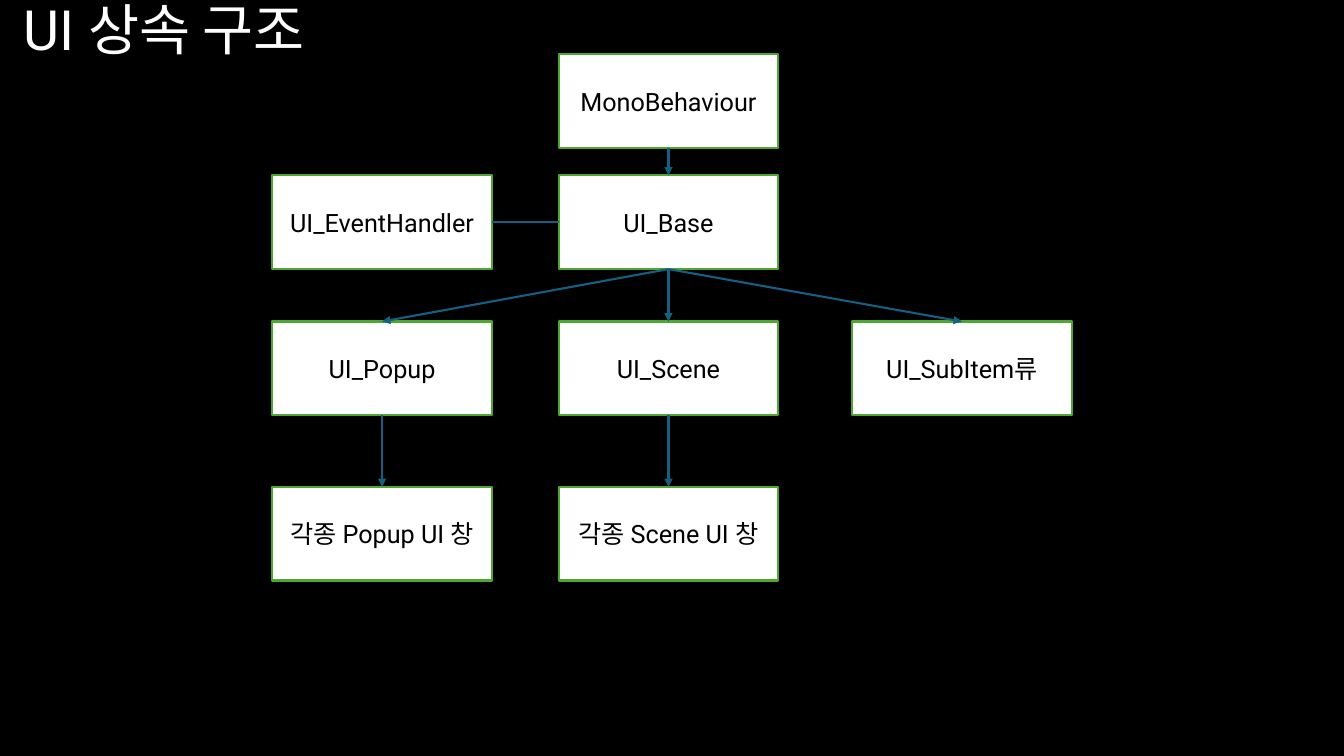
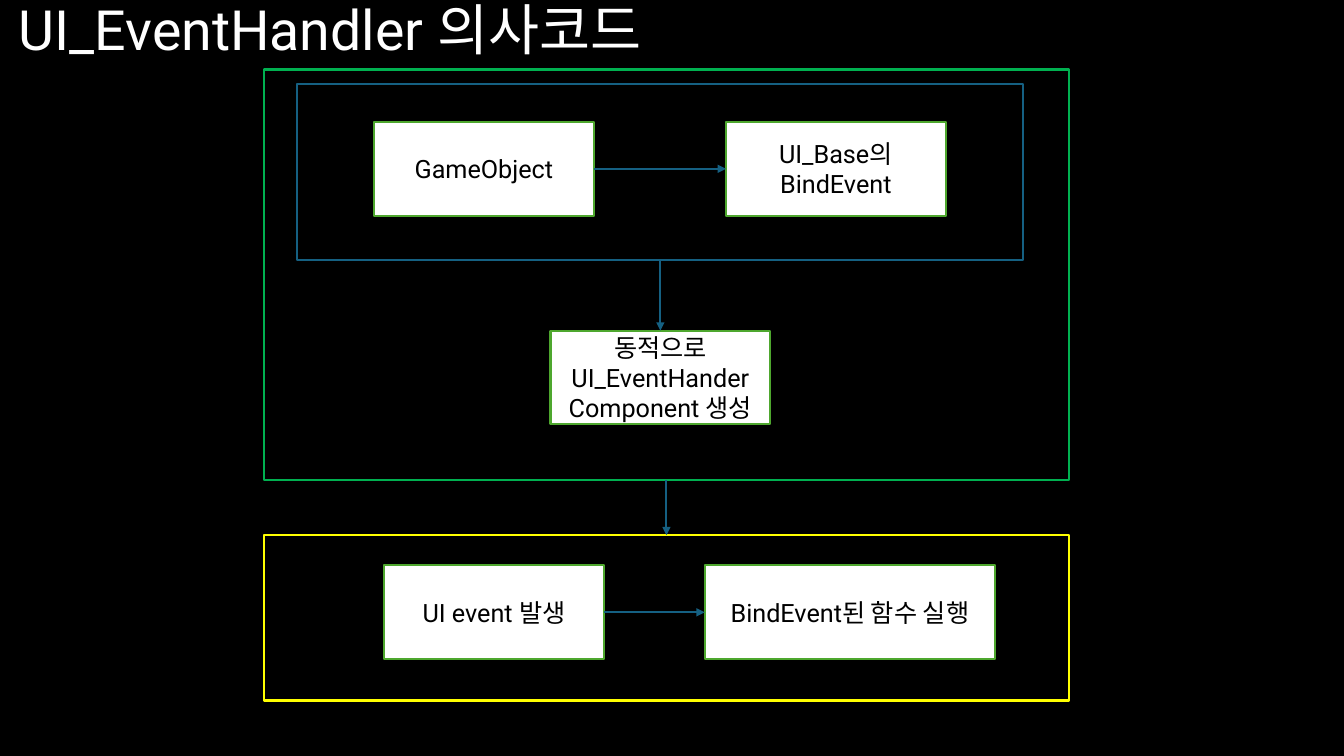
import pptx
import pptx.dml.color
import pptx.enum.dml
import pptx.enum.shapes
import pptx.enum.text
import pptx.util
import lxml.etree
import pptx.oxml.ns

RGBColor = pptx.dml.color.RGBColor
BLACK = RGBColor(0x00, 0x00, 0x00)
WHITE = RGBColor(0xFF, 0xFF, 0xFF)
LEAF = RGBColor(0x4E, 0xA7, 0x2E)
TEAL = RGBColor(0x15, 0x60, 0x82)
GREEN = RGBColor(0x00, 0xB0, 0x50)
YELLOW = RGBColor(0xFF, 0xFF, 0x00)

Inches = pptx.util.Inches
SHAPE = pptx.enum.shapes.MSO_SHAPE
TOP, LEFT, BOTTOM, RIGHT = range(4)
LINE_WIDTH = pptx.util.Pt(1.5)
BOX_WIDTH, BOX_HEIGHT = 2.18, 0.93
TITLE_HEIGHT = 0.64
TITLE_FONT = {"name": "Roboto", "size": pptx.util.Pt(39.6)}
BOX_FONT = {"name": "Roboto", "size": pptx.util.Pt(18)}


def add_box(slide, area, text="", fill=WHITE, outline=LEAF, kind=SHAPE.RECTANGLE,
            font=BOX_FONT, color=BLACK):
    """Add a box with centred text; None leaves out the fill or the outline."""
    box = slide.shapes.add_shape(kind, *map(Inches, area))
    box.shadow.inherit = False
    if fill is None:
        box.fill.background()
    else:
        box.fill.solid()
        box.fill.fore_color.rgb = fill
    if outline is None:
        box.line.fill.background()
    else:
        box.line.color.rgb = outline
        box.line.width = LINE_WIDTH
    if text:
        frame = box.text_frame
        frame.word_wrap = True
        frame.vertical_anchor = pptx.enum.text.MSO_ANCHOR.MIDDLE
        para = frame.paragraphs[0]
        para.alignment = pptx.enum.text.PP_ALIGN.CENTER
        span = para.add_run()
        span.text = text
        for key, value in font.items():
            setattr(span.font, key, value)
        span.font.color.rgb = color
    return box


def add_link(slide, start, start_side, end, end_side, arrow=True):
    """Join the sides of two boxes with a straight line."""
    link = slide.shapes.add_connector(pptx.enum.shapes.MSO_CONNECTOR.STRAIGHT, 0, 0, 0, 0)
    link.begin_connect(start, start_side)
    link.end_connect(end, end_side)
    link.line.color.rgb = TEAL
    link.line.width = LINE_WIDTH
    if arrow:
        line = link.line.fill._xPr
        lxml.etree.SubElement(line, pptx.oxml.ns.qn("a:tailEnd"), type="triangle")
    properties = link._element.spPr
    lxml.etree.SubElement(properties, pptx.oxml.ns.qn("a:effectLst"))


# Deck with a shared black background
deck = pptx.Presentation()
deck.slide_width = Inches(13.33)
deck.slide_height = Inches(7.5)
background = deck.slide_master.background.fill
background.solid()
background.fore_color.rgb = BLACK

# Slides and titles
slides = []
for title, width in [("UI 상속 구조", 3.26), ("UI_EventHandler 의사코드", 6.55)]:
    slide = deck.slides.add_slide(deck.slide_layouts[6])
    title_box = slide.shapes.add_textbox(0, 0, Inches(width), Inches(TITLE_HEIGHT))
    title_box.text_frame.word_wrap = True
    title_box.text_frame.vertical_anchor = pptx.enum.text.MSO_ANCHOR.MIDDLE
    para = title_box.text_frame.paragraphs[0]
    para.alignment = pptx.enum.text.PP_ALIGN.CENTER
    para.line_spacing = 0.9
    span = para.add_run()
    span.text = title
    for key, value in TITLE_FONT.items():
        setattr(span.font, key, value)
    span.font.color.rgb = WHITE
    slides.append(slide)
tree_slide, flow_slide = slides

# Slide 1: class tree, each box at a column and a row
COLUMNS = [2.7, 5.54, 8.45]
ROWS = [0.54, 1.74, 3.19, 4.83]
classes = {}
for name, column, row in [
    ("MonoBehaviour", 1, 0),
    ("UI_EventHandler", 0, 1),
    ("UI_Base", 1, 1),
    ("UI_Popup", 0, 2),
    ("UI_Scene", 1, 2),
    ("UI_SubItem류", 2, 2),
    ("각종 Popup UI 창", 0, 3),
    ("각종 Scene UI 창", 1, 3),
]:
    area = (COLUMNS[column], ROWS[row], BOX_WIDTH, BOX_HEIGHT)
    classes[name] = add_box(tree_slide, area, name)

for parent, child in [
    ("MonoBehaviour", "UI_Base"),
    ("UI_Base", "UI_Popup"),
    ("UI_Base", "UI_Scene"),
    ("UI_Base", "UI_SubItem류"),
    ("UI_Popup", "각종 Popup UI 창"),
    ("UI_Scene", "각종 Scene UI 창"),
]:
    add_link(tree_slide, classes[parent], BOTTOM, classes[child], TOP)
add_link(tree_slide, classes["UI_EventHandler"], RIGHT, classes["UI_Base"], LEFT, arrow=False)

# Slide 2: outlined groups
setup, binding, running = [
    add_box(flow_slide, area, fill=None, outline=outline, kind=SHAPE.FLOWCHART_PROCESS)
    for area, outline in [
        ((2.62, 0.69, 7.98, 4.07), GREEN),
        ((2.95, 0.83, 7.2, 1.75), TEAL),
        ((2.62, 5.31, 7.98, 1.64), YELLOW),
    ]
]

# Slide 2: steps
game_object, bind_event, component, ui_event, bound_function = [
    add_box(flow_slide, (left, top, width, BOX_HEIGHT), text)
    for text, left, top, width in [
        ("GameObject", 3.71, 1.21, BOX_WIDTH),
        ("UI_Base의 BindEvent", 7.2, 1.21, BOX_WIDTH),
        ("동적으로 UI_EventHander Component 생성", 5.46, 3.28, BOX_WIDTH),
        ("UI event 발생", 3.81, 5.61, BOX_WIDTH),
        ("BindEvent된 함수 실행", 6.99, 5.61, 2.88),
    ]
]

# Slide 2: arrows
for start, start_side, end, end_side in [
    (game_object, RIGHT, bind_event, LEFT),
    (binding, BOTTOM, component, TOP),
    (setup, BOTTOM, running, TOP),
    (ui_event, RIGHT, bound_function, LEFT),
]:
    add_link(flow_slide, start, start_side, end, end_side)

deck.save("out.pptx")
